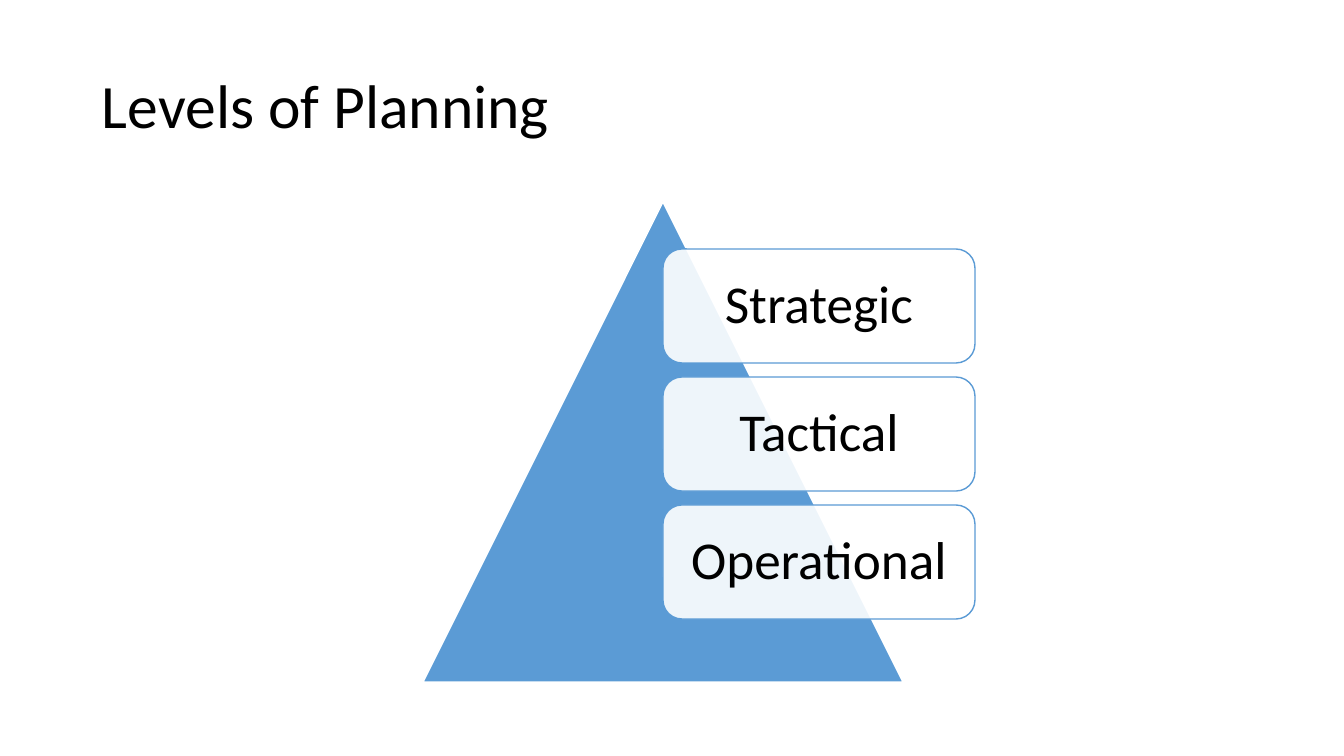
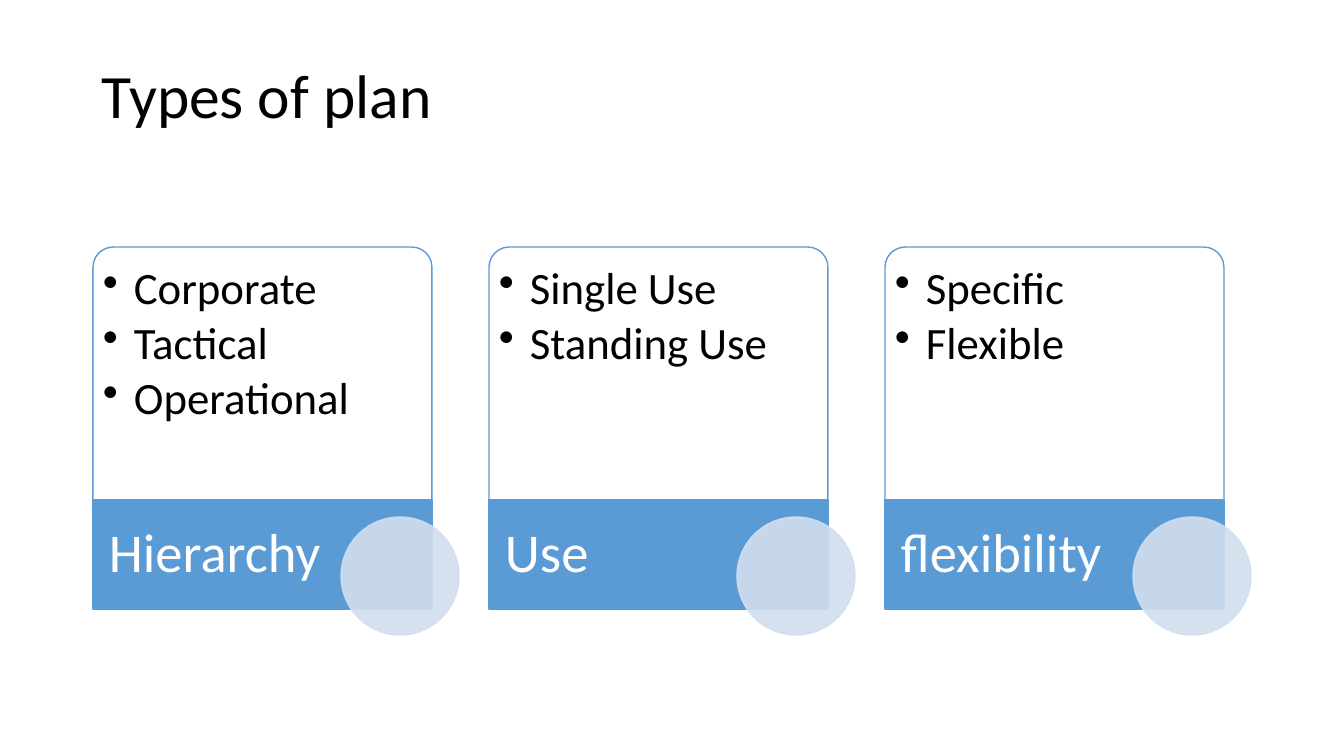
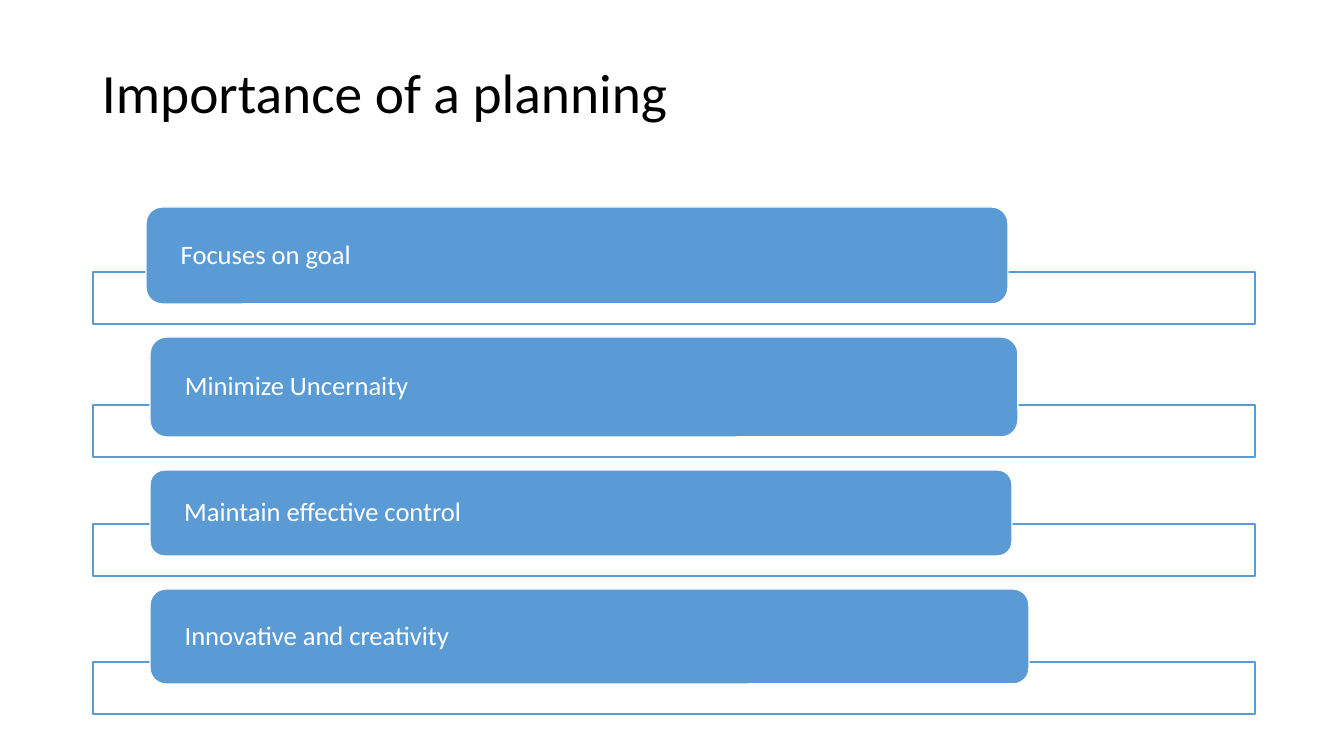
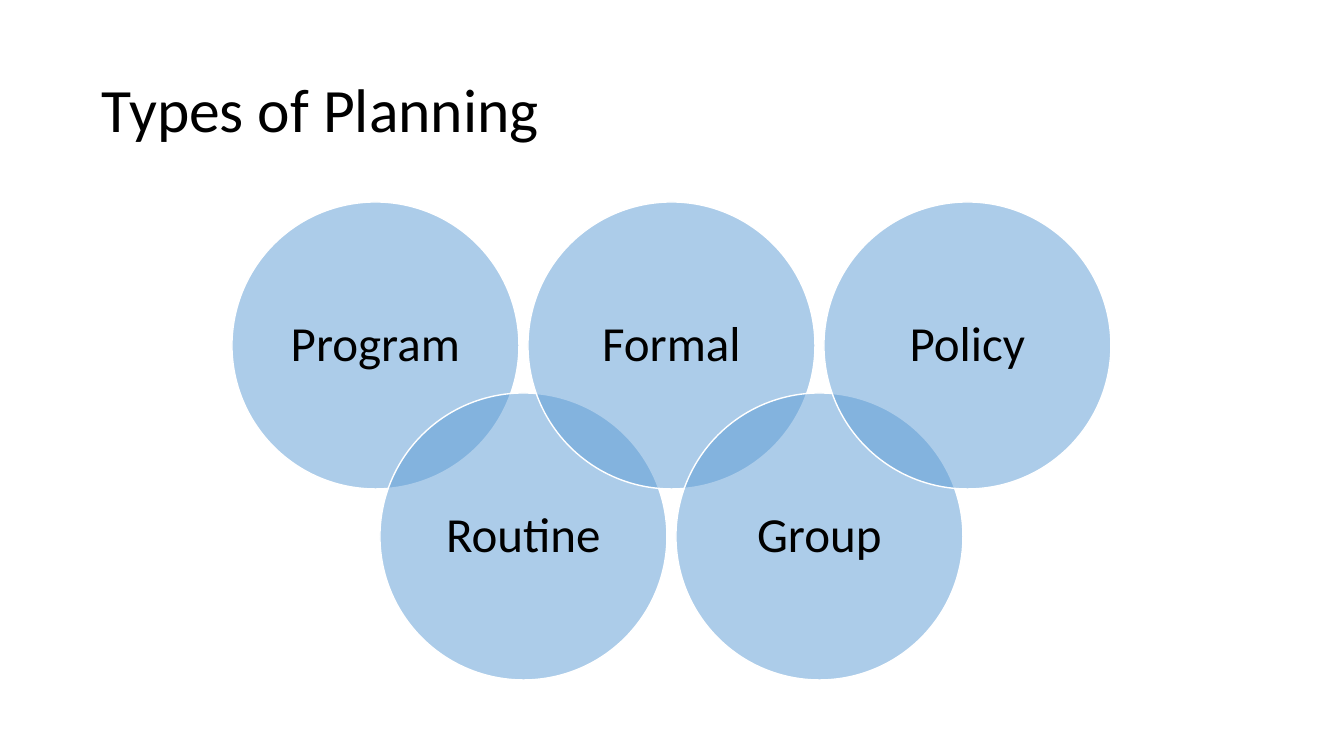
from lxml.etree import SubElement
from pptx import Presentation
from pptx.dml.color import RGBColor
from pptx.enum.shapes import MSO_SHAPE as Kind
from pptx.enum.text import MSO_ANCHOR as Anchor, MSO_AUTO_SIZE as Fit, PP_ALIGN as Align
from pptx.oxml.ns import qn
from pptx.util import Emu, Pt

SCALE = 914400 / 100.8  # EMU in one px
FONT = "Calibri"
BLUE, PALE, WHITE, BLACK = "5B9BD5", "D2DEEF", "FFFFFF", "000000"


def px(size):
    return Emu(round(size * SCALE))


def paint(fill, tone, alpha=100):
    """Fill with a hex colour; alpha is opacity in percent."""
    fill.solid()
    fill.fore_color.rgb = RGBColor.from_string(tone)
    if alpha < 100:
        node = fill._xPr.find(qn("a:solidFill"))[0]
        SubElement(node, qn("a:alpha"), val=str(alpha * 1000))


class Deck:
    def __init__(self):
        self.prs = Presentation()
        self.prs.slide_width, self.prs.slide_height = px(1344), px(756)
        self.slide = None

    def title(self, text, box, size=44):
        """Start a slide with its title."""
        self.slide = self.prs.slides.add_slide(self.prs.slide_layouts[5])
        head = self.slide.shapes.title
        head.left, head.top, head.width, head.height = map(px, box)
        self.label(head, [text], size, BLACK)

    def shape(self, kind, box, fill, line, alpha=100, edge=100, adj=()):
        item = self.slide.shapes.add_shape(kind, *map(px, box))
        item.shadow.inherit = False
        for i, value in enumerate(adj):
            item.adjustments[i] = value
        paint(item.fill, fill, alpha)
        paint(item.line.fill, line, edge)
        item.line.width = Pt(1)
        return item

    def label(self, item, lines, size, tone, pad=(10, 5, 10, 5),
              align=Align.LEFT, anchor=Anchor.MIDDLE, mark=0):
        """Set the text of a shape; mark is the bullet indent in px."""
        frame = item.text_frame
        frame.word_wrap, frame.auto_size = True, Fit.NONE
        frame.vertical_anchor = anchor
        (frame.margin_left, frame.margin_top,
         frame.margin_right, frame.margin_bottom) = map(px, pad)
        for i, text in enumerate(lines):
            para = frame.add_paragraph() if i else frame.paragraphs[0]
            para.alignment, para.line_spacing = align, 0.9
            if mark:
                para.space_after = Pt(size * 0.15)
                self.bullet(para, mark)
            run = para.add_run()
            run.text = text
            run.font.name, run.font.size = FONT, Pt(size)
            run.font.color.rgb = RGBColor.from_string(tone)

    def bullet(self, para, mark):
        props = para._p.get_or_add_pPr()
        props.set("marL", str(px(mark)))
        props.set("indent", str(-px(mark)))
        SubElement(props, qn("a:buChar"), char="•")


def levels(deck):
    deck.title("Levels of Planning", (92, 40, 1159, 138))
    deck.shape(Kind.ISOSCELES_TRIANGLE, (423, 202, 480, 480), BLUE, WHITE)
    for i, name in enumerate(("Strategic", "Tactical", "Operational")):
        step = deck.shape(Kind.ROUNDED_RECTANGLE, (663, 249 + 128 * i, 312, 114),
                          WHITE, BLUE, alpha=90)
        deck.label(step, [name], 38, BLACK, (16, 16, 16, 16), Align.CENTER)


def plans(deck):
    deck.title("Types of plan", (92, 40, 1144, 118))
    cards = {
        "Hierarchy": ["Corporate", "Tactical", "Operational"],
        "Use": ["Single Use", "Standing Use"],
        "flexibility": ["Specific", "Flexible"],
    }
    for i, (name, lines) in enumerate(cards.items()):
        left = 93 + 396 * i
        card = deck.shape(Kind.ROUND_2_SAME_RECTANGLE, (left, 247, 339, 253),
                          WHITE, BLUE, alpha=90, adj=(0.08, 0))
        deck.label(card, lines, 32, BLACK, (4, 13, 4, 4), anchor=Anchor.TOP, mark=31)
        band = deck.shape(Kind.RECTANGLE, (left, 500, 339, 109), BLUE, BLUE)
        deck.label(band, [name], 39, WHITE, (16, 0, 106, 0))
        deck.shape(Kind.OVAL, (left + 248, 517, 118, 118), PALE, PALE,
                   alpha=90, edge=90)


def merits(deck):
    deck.title("Importance of a planning", (92, 70, 1092, 52), 39.6)
    rows = (
        ("Focuses on goal", 272, (146, 207, 862, 97)),
        ("Minimize Uncernaity", 405, (150, 337, 868, 100)),
        ("Maintain effective control", 524, (150, 470, 862, 86)),
        ("Innovative and creativity", 662, (150, 589, 879, 95)),
    )
    for text, top, box in rows:
        deck.shape(Kind.RECTANGLE, (93, top, 1162, 52), WHITE, BLUE, alpha=90)
        pill = deck.shape(Kind.ROUNDED_RECTANGLE, box, BLUE, WHITE)
        deck.label(pill, [text], 19, WHITE, (30, 0, 30, 0))


def kinds(deck):
    deck.title("Types of Planning", (92, 40, 1159, 146))
    for i, name in enumerate(("Program", "Routine", "Formal", "Group", "Policy")):
        ring = deck.shape(Kind.OVAL, (232 + 148 * i, 202 + 191 * (i % 2), 287, 287),
                          BLUE, WHITE, alpha=50)
        deck.label(ring, [name], 35, BLACK, (15, 15, 15, 15), Align.CENTER)


def main():
    deck = Deck()
    for build in (levels, plans, merits, kinds):
        build(deck)
    deck.prs.save("out.pptx")


if __name__ == "__main__":
    main()
